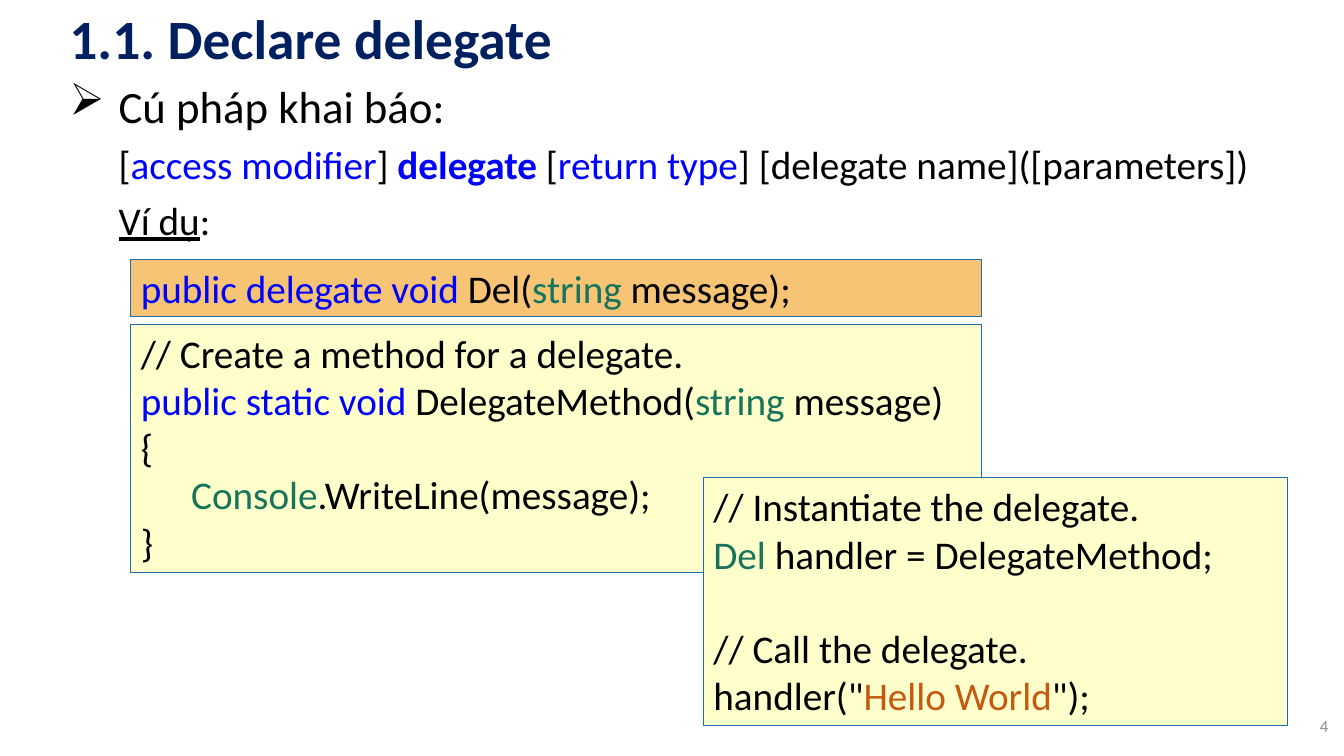
import pptx
import pptx.dml.color
import pptx.enum.shapes
import pptx.enum.text
import pptx.util
from dataclasses import dataclass
from lxml import etree
from pptx.util import Cm


# Theme: colours and type sizes
@dataclass(frozen=True)
class Theme:
    font: str = "Calibri"
    title: str = "002060"
    text: str = "000000"
    keyword: str = "0000FF"
    type_name: str = "16745A"
    string: str = "C5590F"
    page: str = "8C8C8C"
    border: str = "1D6FA9"
    declaration_fill: str = "F7C475"
    code_fill: str = "FFFFCC"
    title_size: float = 39.6
    heading_size: float = 32
    code_size: float = 28
    page_size: float = 12


theme = Theme()
KEYWORD, TYPE, STRING = theme.keyword, theme.type_name, theme.string

# Content: each line is a list of runs (text, colour, styles)
TITLE = [("1.1. Declare delegate", theme.title, "bold")]
HEADING = [("Cú pháp khai báo:",)]
SYNTAX = [
    ("[",), ("access modifier", KEYWORD), ("] ",), ("delegate", KEYWORD, "bold"),
    (" [",), ("return type", KEYWORD), ("] [delegate name]([parameters])",),
]
EXAMPLE = [("Ví dụ", theme.text, "underline"), (":",)]
PAGE_NUMBER = [("4", theme.page)]

DECLARATION = [
    [("public delegate void", KEYWORD), (" Del(",), ("string", TYPE), (" message);",)],
]
METHOD = [
    [("// Create a method for a delegate.",)],
    [("public static void ", KEYWORD), ("DelegateMethod(",), ("string", TYPE), (" message)",)],
    [("{",)],
    [("Console", TYPE), (".WriteLine(message);",)],
    [("}",)],
]
USAGE = [
    [("// Instantiate the delegate.",)],
    [("Del", TYPE), (" handler = DelegateMethod;",)],
    [("// Call the delegate.",)],
    [('handler("',), ("Hello World", STRING), ('");',)],
]

# Layout in centimetres
MARGIN, CONTENT_WIDTH = 1.5, 30.99
TITLE_TOP, TITLE_HEIGHT = 0.05, 1.8
BODY_TOP, BODY_HEIGHT = 1.85, 16.92
BODY_INDENT, CODE_INDENT = 1.24, 1.27
CODE_LEFT, CODE_WIDTH = 3.3, 21.44
LINE_HEIGHT, PADDING = 1.2, 0.25
BLANK_LINE = 34  # points

# Code panels: lines, left, top, width, rows, fill, indented line, line after a gap
PANELS = [
    (DECLARATION, CODE_LEFT, 6.53, CODE_WIDTH, 1, theme.declaration_fill, None, None),
    (METHOD, CODE_LEFT, 8.18, CODE_WIDTH, 5, theme.code_fill, 3, None),
    (USAGE, 17.73, 12.04, 14.73, 5, theme.code_fill, None, 2),
]


def color(value):
    return pptx.dml.color.RGBColor.from_string(value)


def write_line(paragraph, runs, size, before=0, left=0.0, first=0.0, bullet=None):
    paragraph.alignment = pptx.enum.text.PP_ALIGN.LEFT
    paragraph.space_before = pptx.util.Pt(before)
    properties = paragraph._p.get_or_add_pPr()
    properties.set("marL", str(int(Cm(left))))
    properties.set("indent", str(int(Cm(first))))
    if bullet:
        mark = etree.SubElement(properties, pptx.oxml.ns.qn("a:buChar"))
        mark.set("char", bullet)
    for text, *look in runs:
        run = paragraph.add_run()
        run.text = text
        run.font.name = theme.font
        run.font.size = pptx.util.Pt(size)
        run.font.color.rgb = color(look[0] if look else theme.text)
        run.font.bold = "bold" in look
        run.font.underline = "underline" in look


def next_paragraph(frame, index):
    return frame.add_paragraph() if index else frame.paragraphs[0]


def add_text(slide, left, top, width, height, anchor):
    box = slide.shapes.add_textbox(Cm(left), Cm(top), Cm(width), Cm(height))
    box.text_frame.word_wrap = True
    box.text_frame.vertical_anchor = anchor
    return box.text_frame


def add_panel(slide, lines, left, top, width, rows, fill, indented, after_gap):
    height = rows * LINE_HEIGHT + PADDING
    panel = slide.shapes.add_shape(
        pptx.enum.shapes.MSO_SHAPE.RECTANGLE, Cm(left), Cm(top), Cm(width), Cm(height))
    panel.shadow.inherit = False
    panel.fill.solid()
    panel.fill.fore_color.rgb = color(fill)
    panel.line.color.rgb = color(theme.border)
    panel.line.width = pptx.util.Pt(0.75)
    frame = panel.text_frame
    frame.word_wrap = True
    frame.auto_size = pptx.enum.text.MSO_AUTO_SIZE.SHAPE_TO_FIT_TEXT
    frame.vertical_anchor = pptx.enum.text.MSO_ANCHOR.TOP
    for index, runs in enumerate(lines):
        write_line(next_paragraph(frame, index), runs, theme.code_size,
                   before=BLANK_LINE if index == after_gap else 0,
                   left=CODE_INDENT if index == indented else 0)


def main():
    presentation = pptx.Presentation()
    presentation.slide_width, presentation.slide_height = Cm(33.87), Cm(19.05)
    slide = presentation.slides.add_slide(presentation.slide_layouts[6])
    anchors = pptx.enum.text.MSO_ANCHOR

    # Title
    title = add_text(slide, MARGIN, TITLE_TOP, CONTENT_WIDTH, TITLE_HEIGHT, anchors.MIDDLE)
    write_line(title.paragraphs[0], TITLE, theme.title_size)

    # Syntax and example label
    body = add_text(slide, MARGIN, BODY_TOP, CONTENT_WIDTH, BODY_HEIGHT, anchors.TOP)
    write_line(body.paragraphs[0], HEADING, theme.heading_size, before=12,
               left=BODY_INDENT, first=-BODY_INDENT, bullet="➢")
    for runs in (SYNTAX, EXAMPLE):
        write_line(body.add_paragraph(), runs, theme.code_size, before=6, left=BODY_INDENT)

    # Page number
    page = add_text(slide, 32.59, 17.78, 1.14, 1.02, anchors.MIDDLE)
    write_line(page.paragraphs[0], PAGE_NUMBER, theme.page_size)
    page.paragraphs[0].alignment = pptx.enum.text.PP_ALIGN.RIGHT

    # Code panels
    for panel in PANELS:
        add_panel(slide, *panel)

    presentation.save("out.pptx")


if __name__ == "__main__":
    main()
